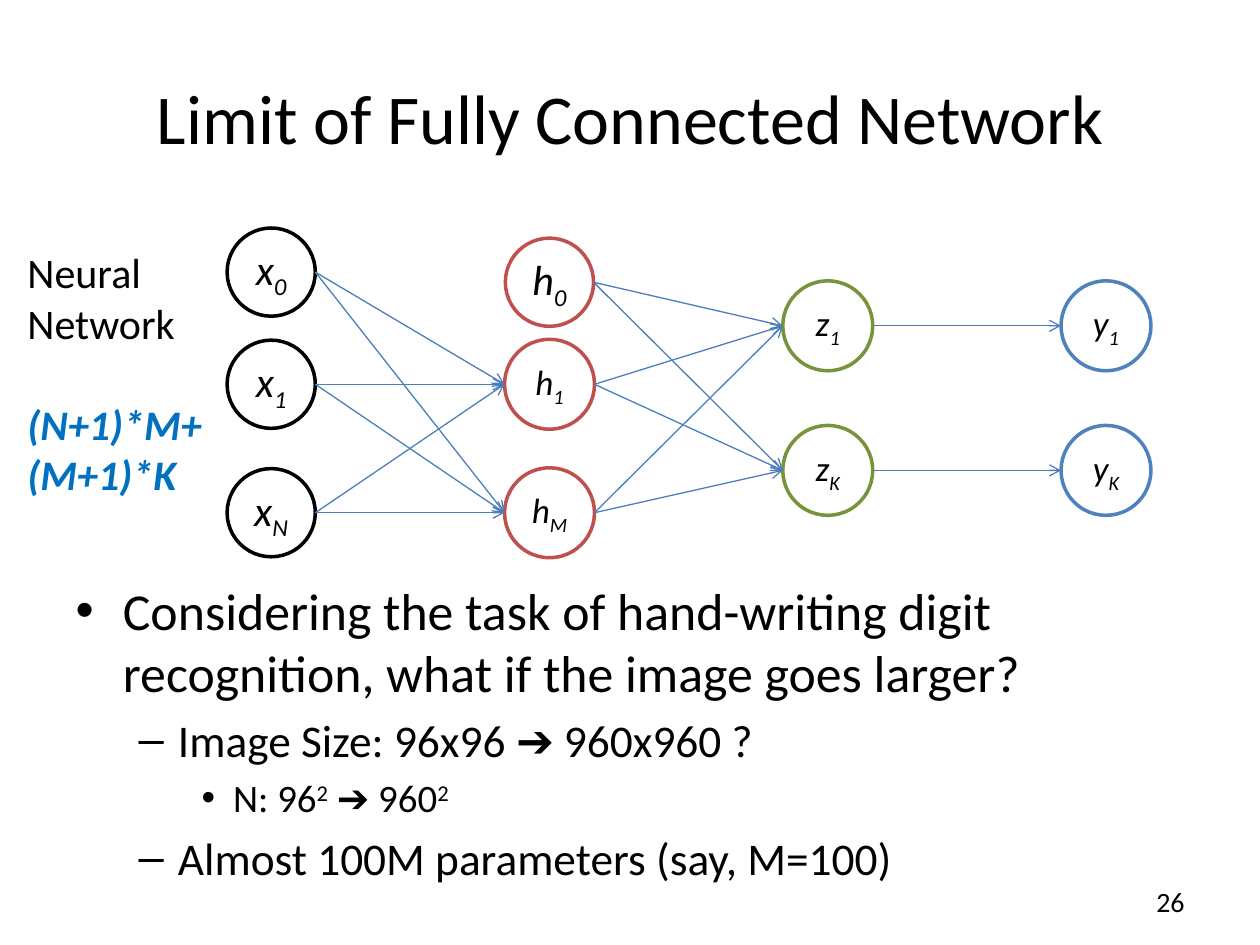
from dataclasses import dataclass
from itertools import product

from lxml.etree import SubElement
from pptx import Presentation
from pptx.dml.color import RGBColor as RGB
from pptx.enum.shapes import MSO_CONNECTOR as Connector, MSO_SHAPE as Shape
from pptx.enum.text import MSO_ANCHOR as Anchor, MSO_AUTO_SIZE as AutoSize, PP_ALIGN as Align
from pptx.oxml.ns import qn
from pptx.util import Pt


@dataclass(frozen=True)
class Theme:
    font: str = "Calibri"
    ink: RGB = RGB(0x00, 0x00, 0x00)
    paper: RGB = RGB(0xFF, 0xFF, 0xFF)
    hidden: RGB = RGB(0xC0, 0x50, 0x4D)
    score: RGB = RGB(0x77, 0x93, 0x3C)
    output: RGB = RGB(0x4F, 0x81, 0xBD)
    edge: RGB = RGB(0x4B, 0x7E, 0xBC)
    formula: RGB = RGB(0x00, 0x70, 0xC0)
    title_size: float = 40
    body_sizes: tuple[float, ...] = (29.6, 25.9, 22.2)
    label_size: float = 24
    unit_size: float = 20
    number_size: float = 16


@dataclass(frozen=True)
class Unit:
    """One circle of the network; x and y are its centre in points."""
    letter: str
    index: str
    x: float
    y: float
    color: RGB
    size: float = 20
    diameter: float = 51.4


@dataclass(frozen=True)
class Label:
    lines: tuple[str, ...]
    box: tuple[float, float, float, float]
    size: float
    color: RGB
    emphasis: bool = False
    align: Align = Align.LEFT
    anchor: Anchor = Anchor.TOP


THEME = Theme()
LAYER_X = [155 + 159 * layer for layer in range(4)]
ROW_1, ROW_LAST = 219.6, 293
OUT_1, OUT_K = 186.2, 268.8
BIG = {"size": THEME.label_size, "diameter": 50.4}

INPUTS = [Unit("x", index, LAYER_X[0], y, THEME.ink, **BIG)
          for index, y in (("0", 155.5), ("1", ROW_1), ("N", ROW_LAST))]
HIDDEN_BIAS = Unit("h", "0", LAYER_X[1], 161.3, THEME.hidden, **BIG)
HIDDEN = [Unit("h", index, LAYER_X[1], y, THEME.hidden, THEME.unit_size)
          for index, y in (("1", ROW_1), ("M", ROW_LAST))]
SCORES, OUTPUTS = (
    [Unit(letter, index, x, y, color, THEME.unit_size)
     for index, y in (("1", OUT_1), ("K", OUT_K))]
    for letter, x, color in (("z", LAYER_X[2], THEME.score),
                             ("y", LAYER_X[3], THEME.output)))
EDGES = [*product(INPUTS, HIDDEN), *product([HIDDEN_BIAS, *HIDDEN], SCORES),
         *zip(SCORES, OUTPUTS)]

LABELS = [
    Label(("Neural", "Network"), (8.6, 137.5, 104, 65.5), THEME.label_size, THEME.ink),
    Label(("(N+1)*M+", "(M+1)*K"), (8.6, 224, 121, 65.5), THEME.label_size,
          THEME.formula, emphasis=True),
    Label(("26",), (516, 500.5, 168, 28.8), THEME.number_size, THEME.ink,
          align=Align.RIGHT, anchor=Anchor.MIDDLE),
]

# Each point: outline level and its runs; True marks a superscript.
POINTS = [
    (0, [("Considering the task of hand-writing digit recognition, "
          "what if the image goes larger?", False)]),
    (1, [("Image Size: 96x96 ➔ 960x960 ?", False)]),
    (2, [("N: 96", False), ("2", True), (" ➔ 960", False), ("2", True)]),
    (1, [("Almost 100M parameters (say, M=100)", False)]),
]


def add_run(paragraph, text: str, size: float, color: RGB = THEME.ink,
            bold: bool = False, italic: bool = False, baseline: int = 0) -> None:
    """Add a run; baseline is the raise in percent, negative for subscripts."""
    run = paragraph.add_run()
    run.text = text
    font = run.font
    font.name, font.size, font.color.rgb = THEME.font, Pt(size), color
    if bold:
        font.bold = True
    if italic:
        font.italic = True
    if baseline:
        run._r.get_or_add_rPr().set("baseline", str(baseline * 1000))


def place(shape, left: float, top: float, width: float, height: float) -> None:
    shape.left, shape.top, shape.width, shape.height = map(Pt, (left, top, width, height))


def fill_title(title) -> None:
    place(title, 36, 21.6, 648, 90)
    title.text_frame.vertical_anchor = Anchor.MIDDLE
    heading = title.text_frame.paragraphs[0]
    heading.alignment = Align.CENTER
    add_run(heading, "Limit of Fully Connected Network", THEME.title_size)


def fill_body(body) -> None:
    place(body, 36, 327, 648, 180)
    frame = body.text_frame
    frame.auto_size = AutoSize.NONE
    for number, (level, runs) in enumerate(POINTS):
        point = frame.add_paragraph() if number else frame.paragraphs[0]
        point.level = level
        for text, raised in runs:
            add_run(point, text, THEME.body_sizes[level], baseline=30 if raised else 0)


def draw_unit(slide, unit: Unit) -> None:
    radius = unit.diameter / 2
    circle = slide.shapes.add_shape(
        Shape.OVAL, Pt(unit.x - radius), Pt(unit.y - radius),
        Pt(unit.diameter), Pt(unit.diameter))
    circle.shadow.inherit = False
    circle.fill.solid()
    circle.fill.fore_color.rgb = THEME.paper
    circle.line.color.rgb = unit.color
    circle.line.width = Pt(2)
    frame = circle.text_frame
    frame.word_wrap = False
    frame.vertical_anchor = Anchor.MIDDLE
    symbol = frame.paragraphs[0]
    symbol.alignment = Align.CENTER
    add_run(symbol, unit.letter, unit.size, italic=True)
    add_run(symbol, unit.index, unit.size, italic=True, baseline=-25)


def draw_edge(slide, source: Unit, target: Unit) -> None:
    edge = slide.shapes.add_connector(
        Connector.STRAIGHT,
        Pt(source.x + source.diameter / 2), Pt(source.y),
        Pt(target.x - target.diameter / 2), Pt(target.y))
    edge.line.color.rgb = THEME.edge
    edge.line.width = Pt(0.75)
    SubElement(edge.line._get_or_add_ln(), qn("a:tailEnd"), type="arrow")
    SubElement(edge._element.spPr, qn("a:effectLst"))


def draw_label(slide, label: Label) -> None:
    frame = slide.shapes.add_textbox(*map(Pt, label.box)).text_frame
    frame.word_wrap = True
    frame.vertical_anchor = label.anchor
    for number, line in enumerate(label.lines):
        paragraph = frame.add_paragraph() if number else frame.paragraphs[0]
        paragraph.alignment = label.align
        add_run(paragraph, line, label.size, label.color,
                bold=label.emphasis, italic=label.emphasis)


def main() -> None:
    deck = Presentation()
    deck.slide_width, deck.slide_height = Pt(720), Pt(540)
    slide = deck.slides.add_slide(deck.slide_layouts[1])
    fill_title(slide.shapes.title)
    fill_body(slide.placeholders[1])
    for unit in [*INPUTS, HIDDEN_BIAS, *HIDDEN, *SCORES, *OUTPUTS]:
        draw_unit(slide, unit)
    for source, target in EDGES:
        draw_edge(slide, source, target)
    for label in LABELS:
        draw_label(slide, label)
    deck.save("out.pptx")


if __name__ == "__main__":
    main()
